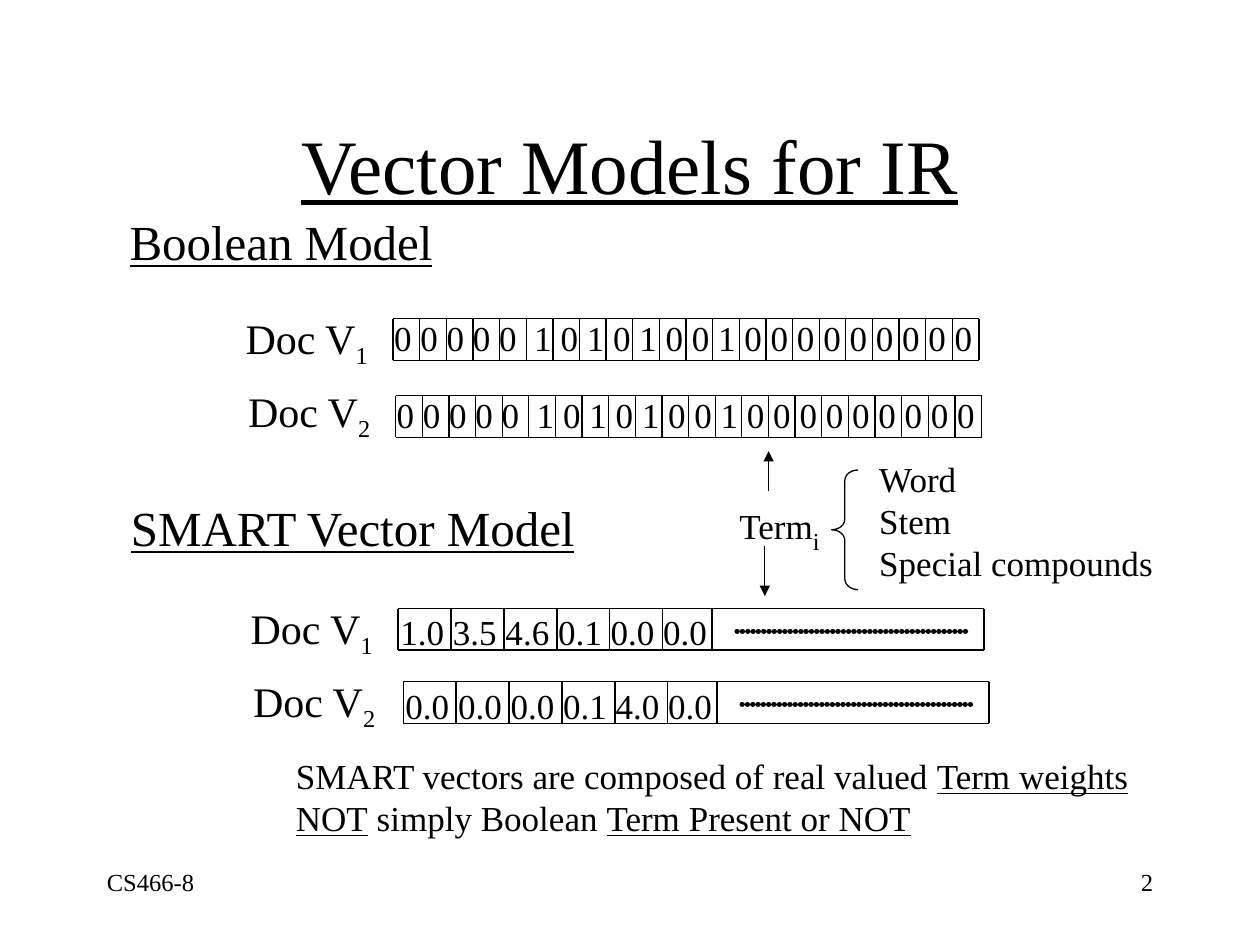
from lxml.etree import SubElement
from pptx import Presentation
from pptx.dml.color import RGBColor
from pptx.enum.shapes import MSO_CONNECTOR, MSO_SHAPE
from pptx.enum.text import MSO_ANCHOR, MSO_AUTO_SIZE, PP_ALIGN
from pptx.oxml.ns import qn
from pptx.util import Inches, Pt

COLORS = {"ink": "000000", "paper": "FFFFFF"}
FONT = "Times New Roman"
CELL_HEIGHT = 0.33
VECTOR_WIDTH = 4.65
BOOLEAN_EDGES = [VECTOR_WIDTH * i / 22 for i in range(23)]
WEIGHT_EDGES = [0.42 * i for i in range(6)] + [2.49, VECTOR_WIDTH]
BITS = "0 0 0 0 0  1 0 1 0 1 0 0 1 0 0 0 0 0 0 0 0 0"


def rgb(name):
    return RGBColor.from_string(COLORS[name])


def add_text(slide, box, *paragraphs, size=20, underline=False,
             align=PP_ALIGN.LEFT, anchor=MSO_ANCHOR.TOP):
    """Each paragraph is a string or a list of (text, format) runs."""
    textbox = slide.shapes.add_textbox(*map(Inches, box))
    frame = textbox.text_frame
    frame.word_wrap = True
    frame.auto_size = MSO_AUTO_SIZE.NONE
    frame.vertical_anchor = anchor
    for index, content in enumerate(paragraphs):
        paragraph = frame.add_paragraph() if index else frame.paragraphs[0]
        paragraph.alignment = align
        runs = [(content, {})] if isinstance(content, str) else content
        for text, style in runs:
            run = paragraph.add_run()
            run.text = text
            run.font.name = FONT
            run.font.size = Pt(style.get("size", size))
            run.font.underline = style.get("underline", underline)
            run.font.color.rgb = rgb("ink")
            if style.get("subscript"):
                run.font._element.set("baseline", "-25000")


def add_line(slide, start, end, width=0.75, arrow=False, dotted=False):
    connector = slide.shapes.add_connector(
        MSO_CONNECTOR.STRAIGHT, *map(Inches, (*start, *end)))
    connector.line.color.rgb = rgb("ink")
    connector.line.width = Pt(width)
    outline = connector.line._get_or_add_ln()
    if dotted:
        outline.set("cap", "rnd")
        dashes = SubElement(outline, qn("a:custDash"))
        SubElement(dashes, qn("a:ds"), d="1000", sp="100000")
    if arrow:
        SubElement(outline, qn("a:tailEnd"), type="triangle")
    SubElement(connector._element.spPr, qn("a:effectLst"))


def add_cells(slide, left, top, edges):
    bottom = top + CELL_HEIGHT
    for y in (top, bottom):
        add_line(slide, (left, y), (left + VECTOR_WIDTH, y))
    for edge in edges:
        add_line(slide, (left + edge, top), (left + edge, bottom))


def add_document_label(slide, left, top, number):
    add_text(slide, (left, top, 1.25, 0.56),
             [("Doc V", {}), (number, {"subscript": True})], size=24)


def add_boolean_vector(slide, left, top):
    add_cells(slide, left, top, BOOLEAN_EDGES)
    add_text(slide, (left - 0.09, top - 0.07, 5, 0.44), BITS)


def add_weight_vector(slide, left, top, weights):
    add_cells(slide, left, top, WEIGHT_EDGES)
    add_text(slide, (left - 0.08, top - 0.03, 2.8, 0.44), weights)
    add_line(slide, (left + 2.69, top + 0.18), (left + 4.53, top + 0.18),
             width=3, dotted=True)


def add_term_note(slide):
    add_text(slide, (5.77, 3.9, 0.93, 0.56),
             [("Term", {}), ("i", {"size": 24, "subscript": True})])
    add_text(slide, (6.88, 3.58, 2.5, 1.1), "Word", "Stem", "Special compounds")
    brace = slide.shapes.add_shape(
        MSO_SHAPE.LEFT_BRACE, *map(Inches, (6.6, 3.73, 0.21, 0.95)))
    brace.adjustments[0] = 0.4
    brace.shadow.inherit = False
    brace.fill.background()
    brace.line.color.rgb = rgb("ink")
    brace.line.width = Pt(0.75)
    add_line(slide, (6.07, 4.33), (6.07, 4.73), arrow=True)
    add_line(slide, (6.1, 3.9), (6.1, 3.58), arrow=True)


def main():
    presentation = Presentation()
    presentation.slide_width, presentation.slide_height = Inches(10), Inches(7.5)
    slide = presentation.slides.add_slide(presentation.slide_layouts[6])
    slide.background.fill.solid()
    slide.background.fill.fore_color.rgb = rgb("paper")

    add_text(slide, (0.75, 0.67, 8.5, 1.25), "Vector Models for IR", size=44,
             underline=True, align=PP_ALIGN.CENTER, anchor=MSO_ANCHOR.MIDDLE)

    add_text(slide, (0.93, 1.63, 2.8, 0.57), "Boolean Model", size=28, underline=True)
    add_boolean_vector(slide, 3.12, 2.53)
    add_boolean_vector(slide, 3.14, 3.14)

    add_text(slide, (0.94, 3.9, 4, 0.57), "SMART Vector Model", size=28, underline=True)
    add_weight_vector(slide, 3.16, 4.83, "1.0 3.5 4.6 0.1 0.0 0.0")
    add_weight_vector(slide, 3.2, 5.41, "0.0 0.0 0.0 0.1 4.0 0.0")

    for left, top in ((1.85, 2.43), (1.89, 4.73)):
        add_document_label(slide, left, top, "1")
        add_document_label(slide, left + 0.02, top + 0.58, "2")

    add_term_note(slide)
    underlined = {"underline": True}
    add_text(slide, (2.25, 5.94, 7, 0.77),
             [("SMART vectors are composed of real valued ", {}),
              ("Term weights", underlined)],
             [("NOT", underlined), (" simply Boolean ", {}),
              ("Term Present or NOT", underlined)])

    add_text(slide, (7.17, 6.83, 2.08, 0.5), "2", size=14, align=PP_ALIGN.RIGHT)
    add_text(slide, (0.75, 6.83, 2.08, 0.5), "CS466-8", size=14)
    presentation.save("out.pptx")


if __name__ == "__main__":
    main()
